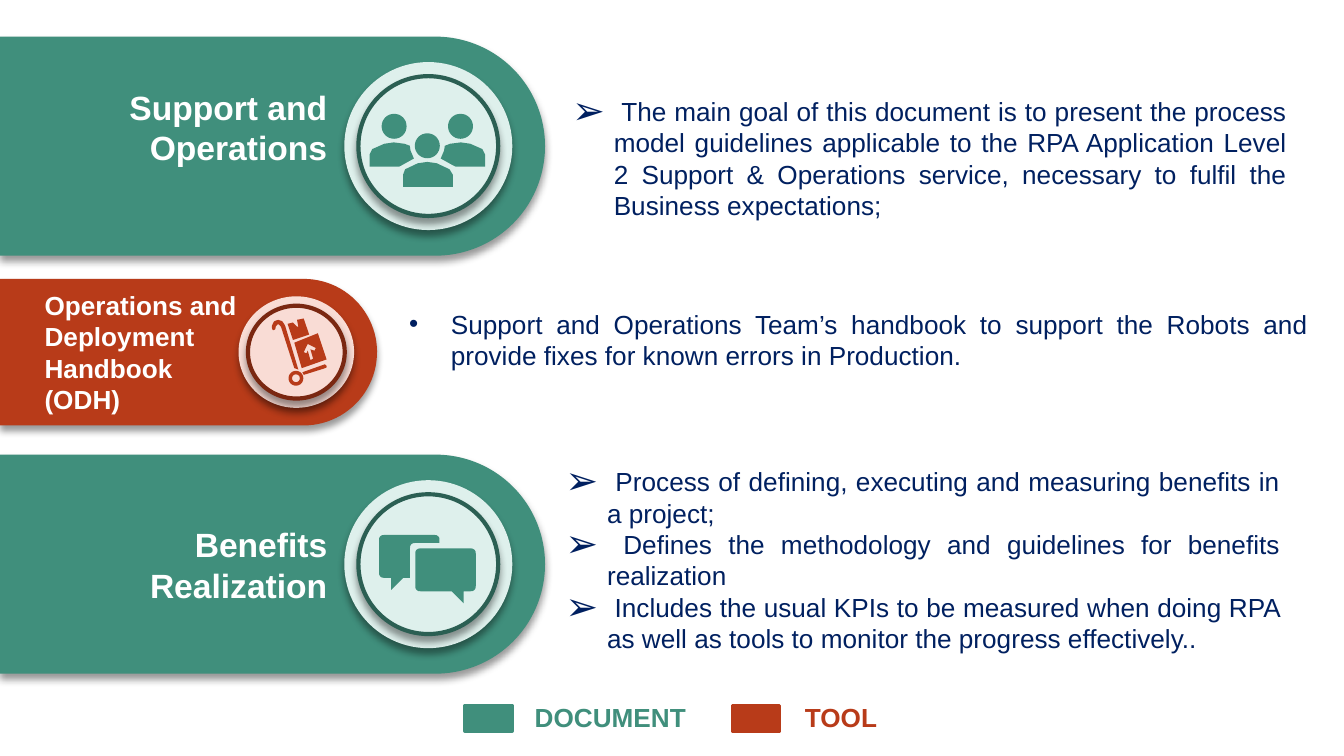
import math
from dataclasses import dataclass

import pptx
import pptx.dml.color
import pptx.enum.shapes
import pptx.enum.text
import pptx.oxml
import pptx.oxml.ns
import pptx.util

# The slide is a grid of 100 columns; rows are as tall as columns are wide
WIDTH = pptx.util.Inches(10)
HEIGHT = WIDTH * 9 // 16
CELL = WIDTH / 100

GREEN, RED, NAVY, WHITE = "408F7C", "B83B19", "002060", "FFFFFF"
SHAPE = pptx.enum.shapes.MSO_SHAPE
ALIGN = pptx.enum.text.PP_ALIGN
ANCHOR = pptx.enum.text.MSO_ANCHOR
Frame = tuple[float, float, float, float]
Contour = list[tuple[float, float]]


@dataclass
class Band:
    top: float
    width: float
    height: float
    fill: str
    disc_fill: str
    ring: str
    disc_centre: tuple[float, float]
    discs: tuple[tuple[float, float], tuple[float, float]]


@dataclass
class Label:
    frame: Frame
    lines: tuple[str, ...]
    size: int
    colour: str
    bold: bool = True
    align: int = ALIGN.LEFT
    anchor: int = ANCHOR.TOP
    bullet: str = ""
    bullet_percent: int = 100


def cells(*values: float) -> list[int]:
    return [round(value * CELL) for value in values]


def rgb(colour: str) -> pptx.dml.color.RGBColor:
    return pptx.dml.color.RGBColor.from_string(colour)


def add_xml(parent, xml: str) -> None:
    namespace = pptx.oxml.ns.nsdecls("a")
    parent.append(pptx.oxml.parse_xml(xml.replace(" ", f" {namespace} ", 1)))


def paint(shape, fill: str, line: str = "", width: float = 0, shadow: bool = False) -> None:
    shape.fill.solid()
    shape.fill.fore_color.rgb = rgb(fill)
    if line:
        shape.line.color.rgb = rgb(line)
        shape.line.width = pptx.util.Pt(width)
    else:
        shape.line.fill.background()
    if shadow:
        add_xml(shape._element.spPr,
                '<a:effectLst ><a:outerShdw blurRad="50800" dist="38100" dir="5400000" '
                'algn="t" rotWithShape="0"><a:srgbClr val="000000"><a:alpha val="40000"/>'
                '</a:srgbClr></a:outerShdw></a:effectLst>')
    else:
        shape.shadow.inherit = False


def draw_band(page, band: Band) -> None:
    # The preset is upright, so it is turned about its centre
    left = (band.width - band.height) / 2
    top = band.top - left
    tab = page.shapes.add_shape(SHAPE.ROUND_2_SAME_RECTANGLE,
                                *cells(left, top, band.height, band.width))
    tab.rotation = 90
    tab.adjustments[0], tab.adjustments[1] = 0.5, 0
    paint(tab, band.fill, shadow=True)
    x, y = band.disc_centre
    for (wide, high), ring in zip(band.discs, ("", band.ring)):
        disc = page.shapes.add_shape(SHAPE.OVAL, *cells(x - wide / 2, y - high / 2, wide, high))
        paint(disc, band.disc_fill, ring, 2.25, shadow=True)


def write_label(page, label: Label, box=None, inset: float = 1, wrap: bool = True) -> None:
    if box is None:
        box = page.shapes.add_textbox(0, 0, 0, 0)
    else:
        page.shapes._spTree.append(box._element)  # bring above the bands
    for name, value in zip(("left", "top", "width", "height"), cells(*label.frame)):
        setattr(box, name, value)
    frame = box.text_frame
    side, edge = cells(1, inset)
    layout = dict(word_wrap=wrap, auto_size=pptx.enum.text.MSO_AUTO_SIZE.NONE,
                  vertical_anchor=label.anchor, margin_left=side, margin_right=side,
                  margin_top=edge, margin_bottom=edge)
    for name, value in layout.items():
        setattr(frame, name, value)
    for index, line in enumerate(label.lines):
        para = frame.add_paragraph() if index else frame.paragraphs[0]
        para.alignment = label.align
        para.space_before = pptx.util.Pt(0)
        properties = para._p.get_or_add_pPr()
        indent = cells(3.1)[0] if label.bullet else 0
        properties.set("marL", str(indent))
        properties.set("indent", str(-indent))
        if label.bullet:
            add_xml(properties, f'<a:buClr ><a:srgbClr val="{label.colour}"/></a:buClr>')
            add_xml(properties, f'<a:buSzPct val="{label.bullet_percent * 1000}"/>')
            add_xml(properties, '<a:buFont typeface="Arial"/>')
            add_xml(properties, f'<a:buChar char="{label.bullet}"/>')
        else:
            add_xml(properties, '<a:buNone />')
        span = para.add_run()
        span.text = line
        style = dict(name="Arial", size=pptx.util.Pt(label.size), bold=label.bold)
        for name, value in style.items():
            setattr(span.font, name, value)
        span.font.color.rgb = rgb(label.colour)


def circle(x: float, y: float, radius: float, steps: int = 32) -> Contour:
    turns = [2 * math.pi * step / steps for step in range(steps)]
    return [(x + radius * math.cos(turn), y + radius * math.sin(turn)) for turn in turns]


def rounded(corners: Contour, round_at: set[int], radius: float = 0.4) -> Contour:
    """Replace the chosen corners by quadratic curves."""
    points = []
    for index, (x, y) in enumerate(corners):
        if index not in round_at:
            points.append((x, y))
            continue
        ends = []
        for px, py in (corners[index - 1], corners[(index + 1) % len(corners)]):
            share = radius / math.dist((x, y), (px, py))
            ends.append((x + share * (px - x), y + share * (py - y)))
        (ax, ay), (bx, by) = ends
        for t in (0, 0.25, 0.5, 0.75, 1):
            a, c, b = (1 - t) ** 2, 2 * t * (1 - t), t ** 2
            points.append((a * ax + c * x + b * bx, a * ay + c * y + b * by))
    return points


def draw_icon(page, contours: list[Contour], fill: str) -> None:
    scaled = [[(x * 100, y * 100) for x, y in contour] for contour in contours]
    builder = page.shapes.build_freeform(*scaled[0][0], scale=CELL / 100)
    for index, contour in enumerate(scaled):
        if index:
            builder.move_to(*contour[0])
        builder.add_line_segments(contour[1:], close=True)
    paint(builder.convert_to_shape(), fill)


# Icon outlines
AXIS = 31.8
side_body = [(27.5, 12.4), (27.5, 11.5), (27.7, 11.1), (28.6, 10.7), (29.3, 10.6), (30.1, 10.7),
             (30.5, 10.85), (30.55, 11.2), (30.8, 11.8), (29.9, 12.3), (29.7, 12.4)]
middle_body = [(30, 13.9), (30, 13), (30.15, 12.6), (31.1, 12.15), (31.8, 12.05),
               (32.5, 12.15), (33.45, 12.6), (33.7, 13), (33.7, 13.9)]
PEOPLE = [middle_body, side_body, [(2 * AXIS - x, y) for x, y in side_body],
          circle(AXIS, 10.85, 0.93), circle(AXIS - 2.47, 9.4, 0.93), circle(AXIS + 2.47, 9.4, 0.93)]
CHAT = [
    rounded([(30.9, 40.8), (35.4, 40.8), (35.4, 44), (34.5, 44), (34.5, 44.9),
             (33.6, 44), (30.9, 44)], {0, 1, 2, 6}),
    rounded([(28.2, 39.8), (32.7, 39.8), (32.7, 40.4), (30.5, 40.4), (30.5, 43), (30, 43),
             (29.1, 43.9), (29.1, 43), (28.2, 43)], {0, 1, 3, 8}),
]
TROLLEY = [
    circle(22.02, 28.15, 0.55), circle(22.02, 28.15, 0.29),
    rounded([(22.5, 27.7), (24.2, 27.1), (24.35, 27.3), (24.2, 27.4), (22.6, 27.9)], {1, 2, 3}, 0.1),
    [(21.9, 25.5), (23.65, 24.8), (24.3, 26.75), (22.45, 27.4)],
    [(22.9, 25.6), (22.6, 26.2), (22.8, 26.3), (22.9, 26.1), (23.1, 26.8), (23.3, 26.7),
     (23.1, 26), (23.4, 26.1), (23.5, 25.9)],
    [(21.4, 24.1), (21.8, 24), (22.1, 24.3), (22.2, 24.3), (22.1, 23.8), (22.6, 23.7),
     (23, 24.9), (21.8, 25.3)],
    rounded([(22.2, 27.5), (21.2, 24.2), (21, 23.9), (20.7, 23.8), (20.4, 23.9), (20.2, 24.3),
             (20.3, 24.6), (20.5, 24.5), (20.5, 24.3), (20.7, 24.1), (20.9, 24.3), (21.9, 27.4)],
            set(range(1, 11)), 0.09),
]

# Bands
green = dict(width=40.55, height=16.3, fill=GREEN, disc_fill="DEF0EC", ring="2B5F53",
             discs=((12.5, 12.5), (10.4, 10.4)))
BANDS = [
    Band(top=2.73, disc_centre=(31.87, 10.87), **green),
    Band(20.75, 28.05, 10.9, RED, "F9DCD5", "7A2711", (22.05, 26.2), ((8.6, 8.3), (7.2, 6.9))),
    Band(top=33.83, disc_centre=(31.87, 41.98), **green),
]

# Wording
heading = dict(size=18, colour=WHITE, align=ALIGN.RIGHT)
plain = dict(size=14, colour=NAVY, bold=False, align=ALIGN.JUSTIFY)
arrows = dict(bullet="➢", bullet_percent=150, **plain)
HEADINGS = [
    Label((-0.25, 5.45, 25.6, 10.8), ("Support and Operations",), **heading),
    Label((2.33, 20.75, 16.5, 10.9), ("Operations and Deployment Handbook (ODH)",), 14, WHITE,
          anchor=ANCHOR.MIDDLE),
    Label((-0.25, 36.6, 25.6, 10.8), ("Benefits Realization",), anchor=ANCHOR.MIDDLE, **heading),
]
LISTS = [
    Label((41.57, 6.1, 55.2, 19.6), (
        " The main goal of this document is to present the process model guidelines applicable to "
        "the RPA Application Level 2 Support & Operations service, necessary to fulfil the "
        "Business expectations;",), **arrows),
    Label((29.45, 21.93, 68.9, 6.7), (
        "Support and Operations Team’s handbook to support the Robots and provide fixes for "
        "known errors in Production.",), bullet="•", **plain),
    Label((41.07, 33.64, 55.2, 19.6), (
        " Process of defining, executing and measuring benefits in a project;",
        " Defines the methodology and guidelines for benefits realization",
        " Includes the usual KPIs to be measured when doing RPA as well as tools to monitor "
        "the progress effectively..",), **arrows),
]
LEGEND = [("DOCUMENT", GREEN, 34.6, 38.8, 13.4), ("TOOL", RED, 54.5, 58.9, 7.5)]


def main() -> None:
    deck = pptx.Presentation()
    deck.slide_width, deck.slide_height = WIDTH, HEIGHT
    page = deck.slides.add_slide(deck.slide_layouts[4])
    title, *bodies, spare = list(page.placeholders)
    spare._element.getparent().remove(spare._element)

    for band, icon in zip(BANDS, (PEOPLE, TROLLEY, CHAT)):
        draw_band(page, band)
        draw_icon(page, icon, band.fill)
    for label, box in zip(HEADINGS + LISTS, [title, None, None, *bodies]):
        write_label(page, label, box)

    # Legend
    for name, colour, key_left, text_left, text_width in LEGEND:
        key = page.shapes.add_shape(SHAPE.RECTANGLE, *cells(key_left, 52.5, 3.5, 1.9))
        paint(key, colour, colour, 2)
        write_label(page, Label((text_left, 51.7, text_width, 3.4), (name,), 14, colour),
                    inset=0.5, wrap=False)
    deck.save("out.pptx")


if __name__ == "__main__":
    main()
